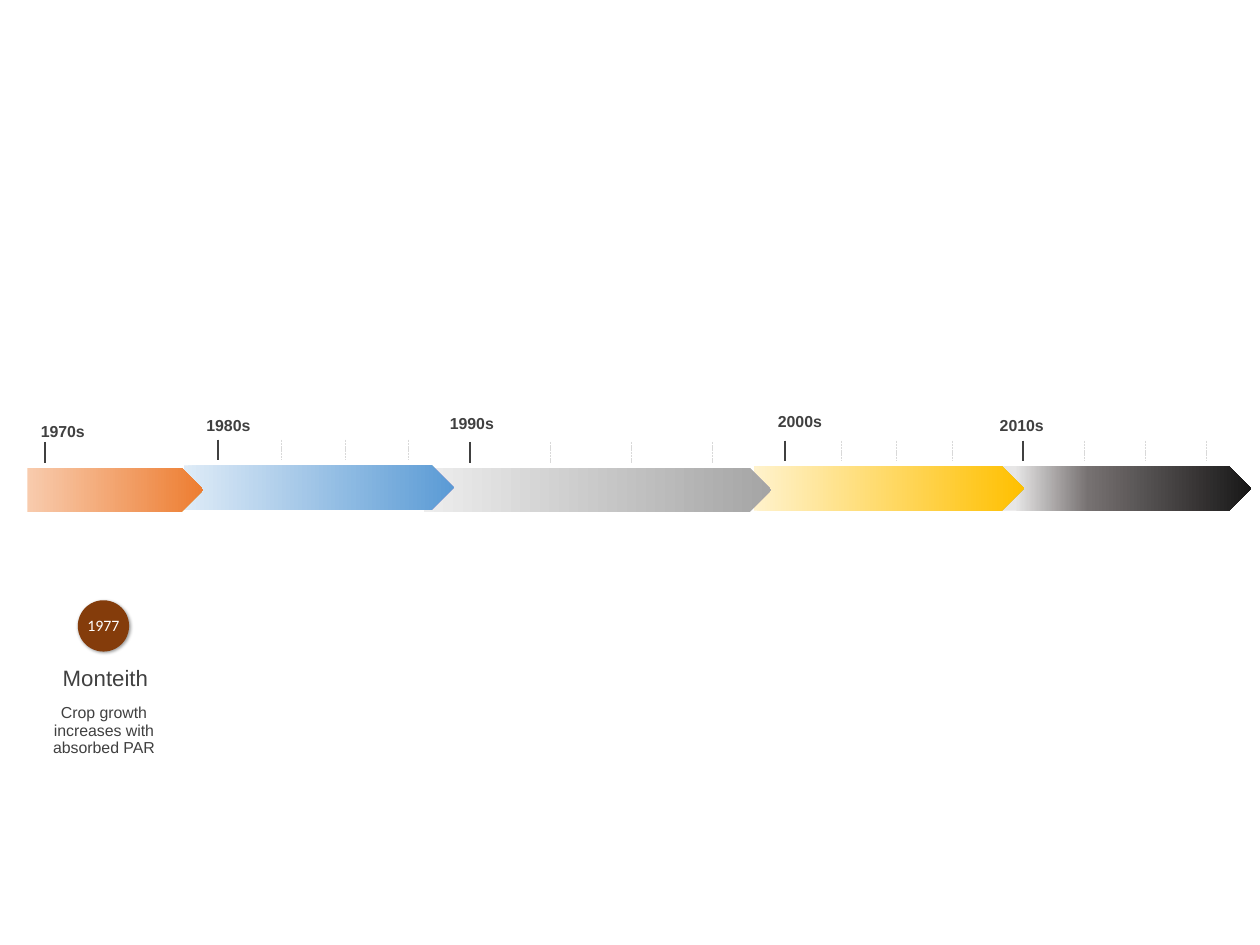
from dataclasses import dataclass

from pptx import Presentation
from pptx.dml.color import RGBColor
from pptx.enum.dml import MSO_LINE as Dash
from pptx.enum.shapes import MSO_CONNECTOR as Wire, MSO_SHAPE as Kind
from pptx.enum.text import MSO_ANCHOR as Anchor, MSO_AUTO_SIZE as Fit, PP_ALIGN as Align
from pptx.oxml import parse_xml
from pptx.oxml.ns import nsdecls, qn
from pptx.shapes.autoshape import Shape
from pptx.slide import Slide
from pptx.util import Cm, Pt

HEX = {"text": "404040", "tick": "D9D9D9", "disc": "843C0B", "white": "FFFFFF"}
BAND = 0.99
TICK = 0.46
RISE = 0.57  # from the top of a tick to the top of its arrow


@dataclass
class Decade:
    name: str
    left: float
    top: float
    width: float
    stops: list[tuple[int, str]]
    tick: float
    gap: float
    minor: int
    label: tuple[float, float]


# Later decades lie behind earlier ones.
DECADES = [
    Decade("2010s", 21.97, 10.36, 5.84,
           [(10, "E7E6E6"), (38, "767171"), (100, "181717"), (100, "CEE1F2")],
           22.73, 1.36, 3, (21.92, 9.27)),
    Decade("2000s", 16.76, 10.36, 5.99, [(0, "FFF2CC"), (100, "FFC000")],
           17.45, 1.24, 3, (16.99, 9.19)),
    Decade("1990s", 9.42, 10.39, 7.72, [(0, "EDEDED"), (100, "A5A5A5")],
           10.44, 1.8, 3, (9.7, 9.22)),
    Decade("1980s", 4.09, 10.34, 5.99, [(0, "DEEBF7"), (100, "5B9BD5")],
           4.85, 1.41, 3, (4.29, 9.27)),
    Decade("1970s", 0.61, 10.39, 3.91, [(0, "F8CBAD"), (100, "ED7D31")],
           0.99, 0, 0, (0.61, 9.4)),
]


def color(key: str) -> RGBColor:
    return RGBColor.from_string(HEX[key])


def write(shape: Shape, text: str, size: float, bold: bool = False,
          font: str = "Arial", ink: str = "text") -> None:
    frame = shape.text_frame
    frame.margin_left = frame.margin_right = 0
    frame.margin_top = frame.margin_bottom = 0
    frame.word_wrap = True
    frame.text = text
    para = frame.paragraphs[0]
    para.alignment = Align.CENTER
    para.line_spacing = 0.93
    face = para.runs[0].font
    face.name, face.size, face.bold = font, Pt(size), bold
    face.color.rgb = color(ink)


def add_text(slide: Slide, box: tuple[float, float, float, float], text: str,
             size: float, bold: bool = False, grow: bool = False) -> None:
    shape = slide.shapes.add_textbox(*map(Cm, box))
    write(shape, text, size, bold)
    if grow:
        shape.text_frame.auto_size = Fit.SHAPE_TO_FIT_TEXT


def add_tick(slide: Slide, x: float, y: float, major: bool) -> None:
    line = slide.shapes.add_connector(Wire.STRAIGHT, Cm(x), Cm(y), Cm(x), Cm(y + TICK))
    line.line.color.rgb = color("text" if major else "tick")
    line.line.width = Pt(1.25 if major else 0.5)
    if not major:
        line.line.dash_style = Dash.SQUARE_DOT
    line._element.spPr.append(parse_xml(f"<a:effectLst {nsdecls('a')}/>"))


def add_arrow(slide: Slide, era: Decade) -> None:
    arrow = slide.shapes.add_shape(Kind.RIGHT_ARROW, Cm(era.left), Cm(era.top),
                                   Cm(era.width), Cm(BAND))
    arrow.adjustments[0], arrow.adjustments[1] = 1, 0.5
    arrow.shadow.inherit = False
    arrow.line.fill.background()
    arrow.fill.gradient()
    arrow.fill.gradient_angle = 0
    stops = "".join(f'<a:gs pos="{pos * 1000}"><a:srgbClr val="{tone}"/></a:gs>'
                    for pos, tone in era.stops)
    old = arrow._element.spPr.find(".//" + qn("a:gsLst"))
    old.getparent().replace(old, parse_xml(f"<a:gsLst {nsdecls('a')}>{stops}</a:gsLst>"))


def add_decade(slide: Slide, era: Decade) -> None:
    add_arrow(slide, era)
    for i in range(era.minor + 1):
        add_tick(slide, era.tick + i * era.gap, era.top - RISE, i == 0)
    add_text(slide, (*era.label, 1.57, 0.66), era.name, 10, bold=True)


def add_disc(slide: Slide, year: str) -> None:
    disc = slide.shapes.add_shape(Kind.OVAL, Cm(1.73), Cm(13.34), Cm(1.14), Cm(1.14))
    disc.fill.solid()
    disc.fill.fore_color.rgb = color("disc")
    disc.line.fill.background()
    disc.shadow.inherit = False
    disc._element.spPr.find(qn("a:effectLst")).append(parse_xml(
        f'<a:outerShdw {nsdecls("a")} blurRad="{Pt(2)}" dist="{Pt(1)}" dir="2700000" '
        'algn="tl" rotWithShape="0"><a:srgbClr val="000000"><a:alpha val="40000"/>'
        '</a:srgbClr></a:outerShdw>'))
    write(disc, year, 10, font="Calibri", ink="white")
    disc.text_frame.vertical_anchor = Anchor.MIDDLE


def main() -> None:
    deck = Presentation()
    deck.slide_width, deck.slide_height = Cm(28), Cm(21)
    slide = deck.slides.add_slide(deck.slide_layouts[6])
    for era in DECADES:
        add_decade(slide, era)
    add_disc(slide, "1977")
    add_text(slide, (0.86, 14.81, 2.97, 0.56), "Monteith", 14, grow=True)
    add_text(slide, (1.04, 15.65, 2.54, 0.79),
             "Crop growth increases with absorbed PAR", 10, grow=True)
    deck.save("out.pptx")


if __name__ == "__main__":
    main()
